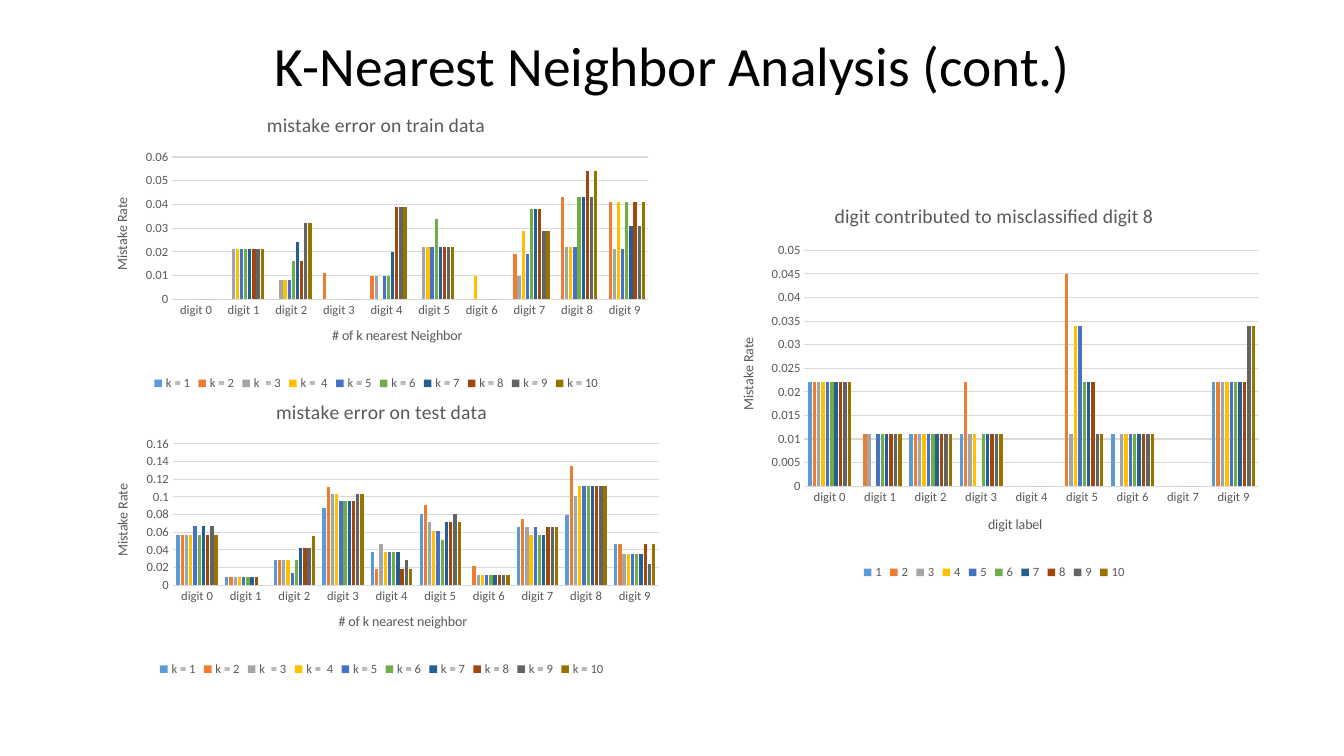
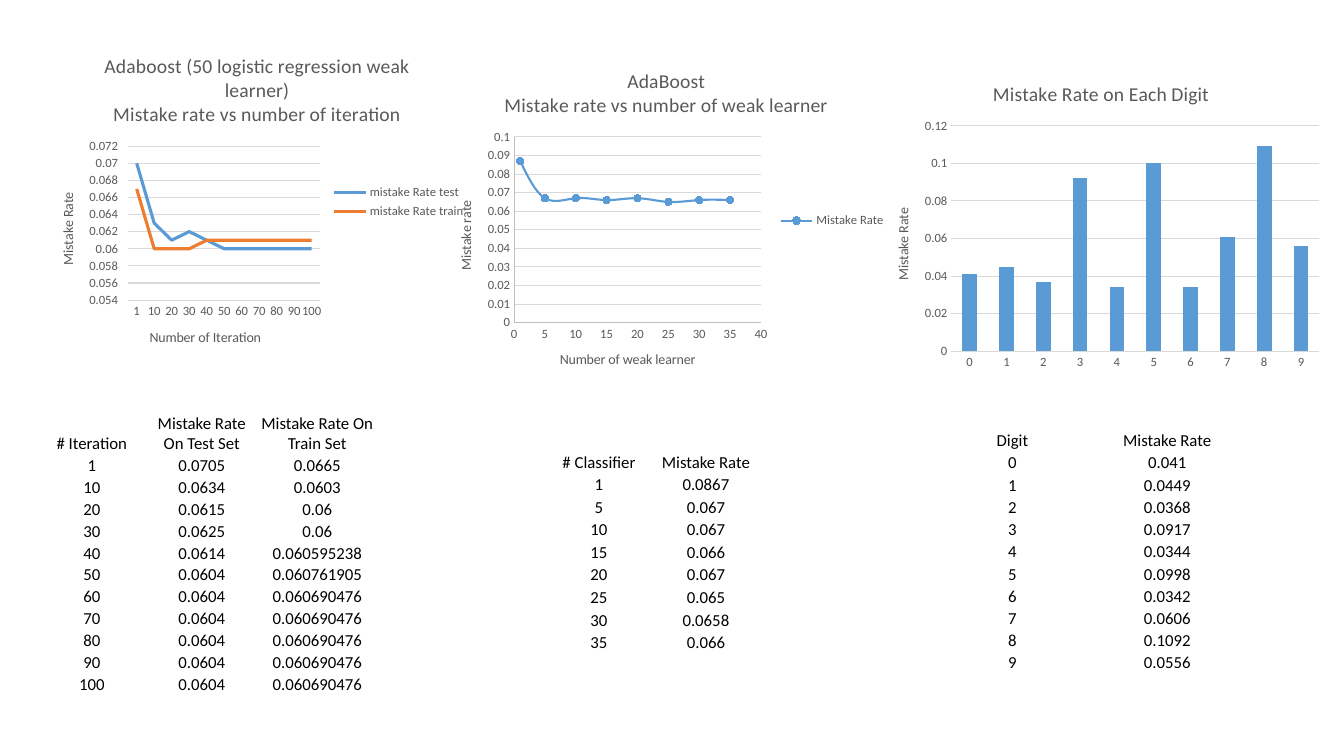
from pptx import Presentation
from pptx.chart.data import CategoryChartData, XyChartData
from pptx.dml.color import RGBColor
from pptx.enum.chart import XL_CHART_TYPE, XL_LEGEND_POSITION, XL_MARKER_STYLE, XL_TICK_MARK
from pptx.enum.text import MSO_ANCHOR, MSO_AUTO_SIZE, PP_ALIGN
from pptx.util import Cm, Pt

COLUMN = XL_CHART_TYPE.COLUMN_CLUSTERED
LINE = XL_CHART_TYPE.LINE
SCATTER = XL_CHART_TYPE.XY_SCATTER_SMOOTH
BOTTOM = XL_LEGEND_POSITION.BOTTOM
RIGHT = XL_LEGEND_POSITION.RIGHT
CIRCLE = XL_MARKER_STYLE.CIRCLE
NO_TICK = XL_TICK_MARK.NONE
OUTSIDE_TICK = XL_TICK_MARK.OUTSIDE
CENTER = PP_ALIGN.CENTER
MIDDLE = MSO_ANCHOR.MIDDLE
CELL_BOTTOM = MSO_ANCHOR.BOTTOM
NO_AUTOFIT = MSO_AUTO_SIZE.NONE

FONT = "Calibri"
COLORS = {"text": "000000", "chart text": "595959", "grid": "D9D9D9", "scatter axis": "BFBFBF"}
SERIES_COLORS = ["5B9BD5", "ED7D31", "A5A5A5", "FFC000", "4472C4",
                 "70AD47", "255E91", "9E480E", "636363", "997300"]
CELL_FORMAT = {"margin_left": Cm(0.03), "margin_right": Cm(0.03), "margin_top": Cm(0.03),
               "margin_bottom": 0, "vertical_anchor": CELL_BOTTOM}


def add_chart(slide, kind, data, box, title, axis_titles, legend_position=None):
    """Add a chart in the shared style; box is left, top, width, height in cm."""
    chart = slide.shapes.add_chart(kind, *(Cm(length) for length in box), data).chart
    chart.font.name = FONT
    chart.font.size = Pt(10)

    titled = [(chart, title, 14)]
    for axis, axis_title in zip((chart.category_axis, chart.value_axis), axis_titles):
        axis.has_title = False
        if axis_title:
            titled.append((axis, axis_title, 10))
    for owner, text, size in titled:
        owner.has_title = True
        frame = owner.chart_title.text_frame if owner is chart else owner.axis_title.text_frame
        frame.text = text
        for paragraph in frame.paragraphs:
            font = paragraph.runs[0].font
            font.name, font.size, font.bold = FONT, Pt(size), False
            font.color.rgb = RGBColor.from_string(COLORS["chart text"])

    axis_color = COLORS["scatter axis" if kind == SCATTER else "grid"]
    for axis in (chart.category_axis, chart.value_axis):
        axis.major_tick_mark = axis.minor_tick_mark = NO_TICK
        axis.format.line.color.rgb = RGBColor.from_string(axis_color)
        axis.format.line.width = Pt(0.75)
    chart.category_axis.has_major_gridlines = False
    chart.value_axis.has_major_gridlines = True
    grid_line = chart.value_axis.major_gridlines.format.line
    grid_line.color.rgb = RGBColor.from_string(COLORS["grid"])
    grid_line.width = Pt(0.75)
    if kind != SCATTER:
        chart.value_axis.format.line.fill.background()

    chart.has_legend = legend_position is not None
    fonts = [chart.category_axis.tick_labels.font, chart.value_axis.tick_labels.font]
    if chart.has_legend:
        chart.legend.position = legend_position
        chart.legend.include_in_layout = False
        fonts.append(chart.legend.font)
    for font in fonts:
        font.name, font.size = FONT, Pt(9)
        font.color.rgb = RGBColor.from_string(COLORS["chart text"])

    plot = chart.plots[0]
    plot.vary_by_categories = False
    for series, color in zip(plot.series, SERIES_COLORS):
        rgb = RGBColor.from_string(color)
        if kind == COLUMN:
            series.format.fill.solid()
            series.format.fill.fore_color.rgb = rgb
            continue
        series.format.line.color.rgb = rgb
        series.format.line.width = Pt(1.5 if kind == SCATTER else 2.25)
        if kind == LINE:
            series.smooth = False
        else:
            series._element.xpath("c:smooth")[0].set("val", "1")
            series.marker.style, series.marker.size = CIRCLE, 5
            series.marker.format.fill.solid()
            series.marker.format.fill.fore_color.rgb = rgb
            series.marker.format.line.color.rgb = rgb
    return chart


def add_table(slide, rows, left, top, widths, row_height, header_height):
    heights = [header_height] + [row_height] * (len(rows) - 1)
    table = slide.shapes.add_table(len(rows), len(widths), Cm(left), Cm(top),
                                   Cm(sum(widths)), Cm(sum(heights))).table
    table.first_row = table.horz_banding = False
    for column, width in zip(table.columns, widths):
        column.width = Cm(width)
    for row, height, values in zip(table.rows, heights, rows):
        row.height = Cm(height)
        for cell, value in zip(row.cells, values):
            cell.text = str(value)
            cell.fill.background()
            for name, setting in CELL_FORMAT.items():
                setattr(cell, name, setting)
            paragraph = cell.text_frame.paragraphs[0]
            paragraph.alignment = CENTER
            font = paragraph.runs[0].font
            font.name, font.size = FONT, Pt(12)
            font.color.rgb = RGBColor.from_string(COLORS["text"])


presentation = Presentation()
presentation.slide_width = Cm(33.87)
presentation.slide_height = Cm(19.05)
title_layout, blank_layout = presentation.slide_layouts[5], presentation.slide_layouts[6]

# Slide 1: nearest neighbor mistake rates, one series per k
slide = presentation.slides.add_slide(title_layout)
title = slide.shapes.title
title.left, title.top, title.width, title.height = Cm(2.34), Cm(1), Cm(29.21), Cm(1.45)
title.text_frame.text = "K-Nearest Neighbor Analysis (cont.)"
title.text_frame.auto_size = NO_AUTOFIT
title.text_frame.vertical_anchor = MIDDLE
paragraph = title.text_frame.paragraphs[0]
paragraph.alignment, paragraph.line_spacing = CENTER, 0.9
font = paragraph.runs[0].font
font.name, font.size = FONT, Pt(39.6)
font.color.rgb = RGBColor.from_string(COLORS["text"])

digits = [f"digit {digit}" for digit in range(10)]
digits_without_8 = digits[:8] + digits[9:]
k_numbers = [str(k) for k in range(1, 11)]
k_names = ["k = 1", "k = 2", "k  = 3", "k =  4"] + [f"k = {k}" for k in range(5, 11)]

# Mistake rates in thousandths, one row per k
misclassified_8 = [
    [22, 0, 11, 11, 0, 0, 11, 0, 22],
    [22, 11, 11, 22, 0, 45, 0, 0, 22],
    [22, 11, 11, 11, 0, 11, 11, 0, 22],
    [22, 0, 11, 11, 0, 34, 11, 0, 22],
    [22, 11, 11, 0, 0, 34, 11, 0, 22],
    [22, 11, 11, 11, 0, 22, 11, 0, 22],
    [22, 11, 11, 11, 0, 22, 11, 0, 22],
    [22, 11, 11, 11, 0, 22, 11, 0, 22],
    [22, 11, 11, 11, 0, 11, 11, 0, 34],
    [22, 11, 11, 11, 0, 11, 11, 0, 34],
]
test_mistakes = [
    [57, 9, 28, 87, 37, 81, 0, 66, 79, 47],
    [57, 9, 28, 111, 18, 91, 22, 75, 135, 47],
    [57, 9, 28, 103, 46, 71, 11, 66, 101, 35],
    [57, 9, 28, 103, 37, 61, 11, 57, 112, 35],
    [67, 9, 14, 95, 37, 61, 11, 66, 112, 35],
    [57, 9, 28, 95, 37, 51, 11, 57, 112, 35],
    [67, 9, 42, 95, 37, 71, 11, 57, 112, 35],
    [57, 9, 42, 95, 18, 71, 11, 66, 112, 47],
    [67, 0, 42, 103, 28, 81, 11, 66, 112, 24],
    [57, 0, 56, 103, 18, 71, 11, 66, 112, 47],
]
train_mistakes = [
    [0, 0, 0, 0, 0, 0, 0, 0, 0, 0],
    [0, 0, 0, 11, 10, 0, 0, 19, 43, 41],
    [0, 21, 8, 0, 10, 22, 0, 10, 22, 21],
    [0, 21, 8, 0, 0, 22, 10, 29, 22, 41],
    [0, 21, 8, 0, 10, 22, 0, 19, 22, 21],
    [0, 21, 16, 0, 10, 34, 0, 38, 43, 41],
    [0, 21, 24, 0, 20, 22, 0, 38, 43, 31],
    [0, 21, 16, 0, 39, 22, 0, 38, 54, 41],
    [0, 21, 32, 0, 39, 22, 0, 29, 43, 31],
    [0, 21, 32, 0, 39, 22, 0, 29, 54, 41],
]
neighbor_charts = [
    ("digit contributed to misclassified digit 8", "digit label", (18.11, 4.68, 13.89, 10.03),
     digits_without_8, k_numbers, misclassified_8),
    ("mistake error on test data", "# of k nearest neighbor", (2.34, 9.66, 14.56, 7.49),
     digits, k_names, test_mistakes),
    ("mistake error on train data", "# of k nearest Neighbor", (2.33, 2.43, 14.3, 7.52),
     digits, k_names, train_mistakes),
]
for chart_title, digit_title, box, categories, names, mistakes in neighbor_charts:
    data = CategoryChartData()
    data.categories = categories
    for name, thousandths in zip(names, mistakes):
        data.add_series(name, [value / 1000 for value in thousandths])
    chart = add_chart(slide, COLUMN, data, box, chart_title, (digit_title, "Mistake Rate"), BOTTOM)
    chart.plots[0].gap_width = 219
    chart.plots[0].overlap = -27

# Slide 2: three charts, each with its table below; the charts round to three decimals
slide = presentation.slides.add_slide(blank_layout)
settled = 0.060690476
iterations = [1, *range(10, 101, 10)]
test_rates = [0.0705, 0.0634, 0.0615, 0.0625, 0.0614] + [0.0604] * 6
train_rates = [0.0665, 0.0603, 0.06, 0.06, 0.060595238, 0.060761905] + [settled] * 5
data = CategoryChartData()
data.categories = [str(iteration) for iteration in iterations]
for name, rates in (("mistake Rate test", test_rates), ("mistake Rate train", train_rates)):
    data.add_series(name, [round(rate, 3) for rate in rates])
chart = add_chart(slide, LINE, data, (0.97, 0.95, 11.02, 8.28),
                  "Adaboost (50 logistic regression weak learner)\nMistake rate vs number of iteration",
                  ("Number of Iteration", "Mistake Rate"), RIGHT)
chart.value_axis.major_tick_mark = OUTSIDE_TICK
iteration_rows = [("# Iteration", "Mistake Rate On Test Set", "Mistake Rate On Train Set"),
                  *zip(iterations, test_rates, train_rates)]
add_table(slide, iteration_rows, 0.98, 10.39, (2.67, 2.87, 2.95), 0.55, 0.97)

classifiers = [1, *range(5, 36, 5)]
classifier_rates = [0.0867, 0.067, 0.067, 0.066, 0.067, 0.065, 0.0658, 0.066]
data = XyChartData()
series = data.add_series("Mistake Rate")
for count, rate in zip(classifiers, classifier_rates):
    series.add_data_point(count, round(rate, 3))
add_chart(slide, SCATTER, data, (11, 1.32, 11.58, 8.48),
          "AdaBoost\nMistake rate vs number of weak learner",
          ("Number of weak learner", "Mistake rate"), RIGHT)
classifier_rows = [("# Classifier", "Mistake Rate"), *zip(classifiers, classifier_rates)]
add_table(slide, classifier_rows, 13.95, 11.34, (2.29, 3.1), 0.57, 0.57)

digit_rates = [0.041, 0.0449, 0.0368, 0.0917, 0.0344, 0.0998, 0.0342, 0.0606, 0.1092, 0.0556]
data = CategoryChartData()
data.categories = [str(digit) for digit in range(10)]
data.add_series("Series 1", [round(rate, 3) for rate in digit_rates])
chart = add_chart(slide, COLUMN, data, (22.02, 1.63, 11.46, 7.85),
                  "Mistake Rate on Each Digit", (None, "Mistake Rate"))
chart.plots[0].gap_width = 150
digit_rows = [("Digit", "Mistake Rate"), *enumerate(digit_rates)]
add_table(slide, digit_rows, 23.85, 10.81, (3.33, 4.47), 0.56, 0.56)

presentation.save("out.pptx")
